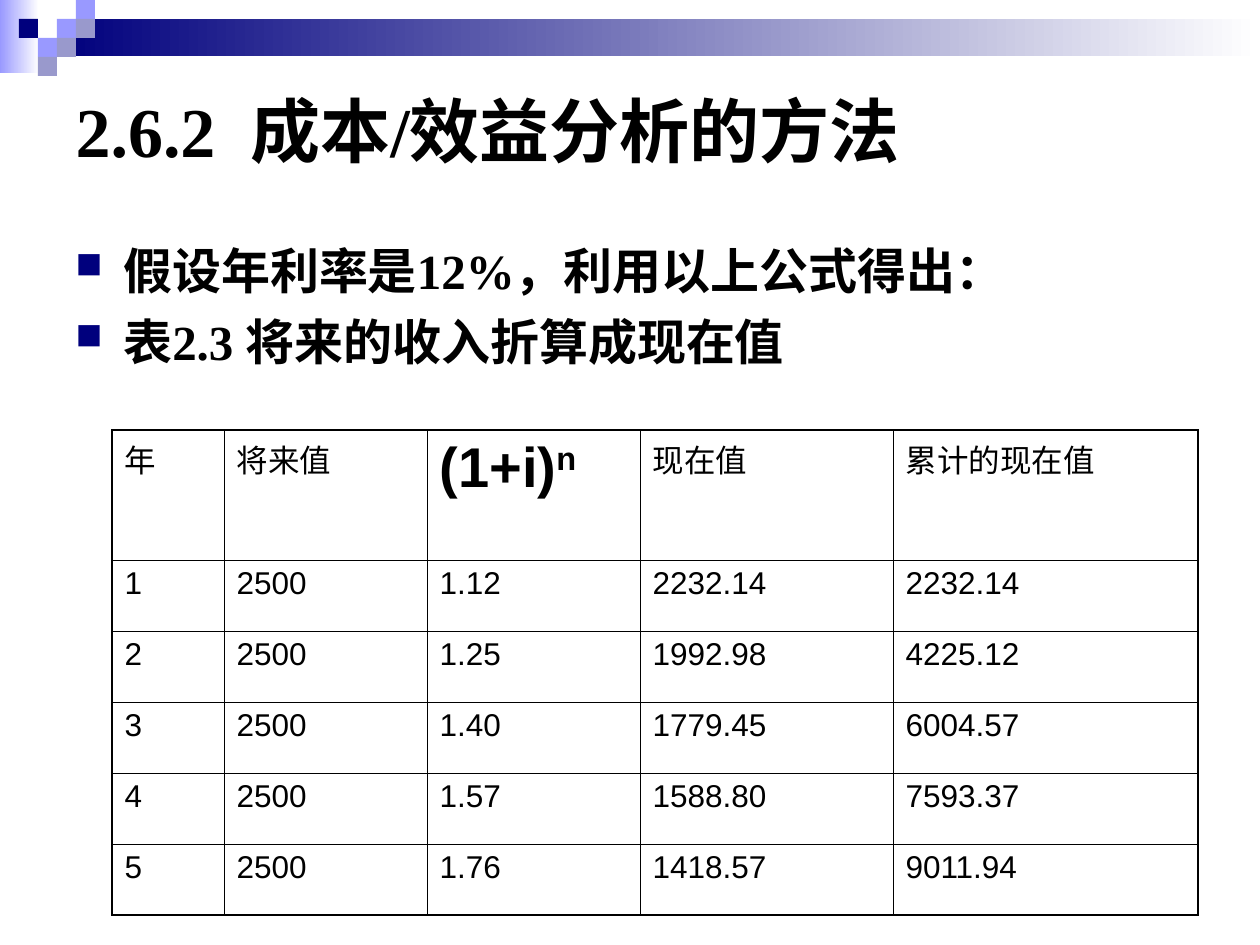
"""Build the slide on cost/benefit analysis with its present value table."""
import pptx
import pptx.dml.color
import pptx.enum.shapes
import pptx.enum.text
import pptx.oxml
import pptx.oxml.ns
import pptx.util

TITLE = "2.6.2  成本/效益分析的方法"
BULLETS = ["假设年利率是12%，利用以上公式得出：", "表2.3 将来的收入折算成现在值"]
ROWS = [
    ["年", "将来值", "(1+i)", "现在值", "累计的现在值"],
    ["1", "2500", "1.12", "2232.14", "2232.14"],
    ["2", "2500", "1.25", "1992.98", "4225.12"],
    ["3", "2500", "1.40", "1779.45", "6004.57"],
    ["4", "2500", "1.57", "1588.80", "7593.37"],
    ["5", "2500", "1.76", "1418.57", "9011.94"],
]
EXPONENT_CELL, EXPONENT = (0, 2), "n"

PX = 914400 // 126
BLACK = pptx.dml.color.RGBColor(0, 0, 0)
WHITE = pptx.dml.color.RGBColor(255, 255, 255)
NAVY = pptx.dml.color.RGBColor(0x00, 0x00, 0x7D)
LILAC = pptx.dml.color.RGBColor(0x99, 0x99, 0xFF)
GREY = pptx.dml.color.RGBColor(0x99, 0x99, 0xCC)

GRADIENT_BARS = [((0, 0, 39, 73), LILAC), ((57, 19, 1203, 37), NAVY)]
SQUARE = 19
SQUARES = [(3, 1, LILAC), (4, 0, LILAC), (4, 1, GREY), (2, 2, LILAC),
           (1, 1, NAVY), (3, 2, GREY), (2, 3, GREY)]
TITLE_BOX = (63, 63, 1134, 132)
BODY_BOX = (63, 234, 1113, 238)
TABLE_AT = (112, 430)
COLUMN_WIDTHS = [112, 203, 213, 253, 305]
ROW_HEIGHTS = [130] + [71] * 5
INNER_LINE, OUTER_LINE = 0.45, 1.08

TITLE_FONT = {"name": "Times New Roman", "size": pptx.util.Pt(40), "bold": True}
BODY_FONT = {"name": "Times New Roman", "size": pptx.util.Pt(28), "bold": True}
CELL_FONT = {"name": "Arial", "size": pptx.util.Pt(18), "bold": False}
FORMULA_FONT = {"name": "Arial", "size": pptx.util.Pt(32), "bold": True}


def scaled(lengths):
    return [length * PX for length in lengths]


def style(font, values):
    for name, value in values.items():
        setattr(font, name, value)
    font.color.rgb = BLACK


def add_block(page, box, colour, fades=False):
    block = page.shapes.add_shape(pptx.enum.shapes.MSO_SHAPE.RECTANGLE, *scaled(box))
    block.shadow.inherit = False
    block.line.fill.background()
    if fades:
        block.fill.gradient()
        block.fill.gradient_angle = 0
        for stop, shade in zip(block.fill.gradient_stops, (colour, WHITE)):
            stop.color.rgb = shade
    else:
        block.fill.solid()
        block.fill.fore_color.rgb = colour


def add_title(page):
    title = page.shapes.title
    title.left, title.top, title.width, title.height = scaled(TITLE_BOX)
    frame = title.text_frame
    frame.text = TITLE
    frame.vertical_anchor = pptx.enum.text.MSO_ANCHOR.MIDDLE
    frame.auto_size = pptx.enum.text.MSO_AUTO_SIZE.NONE
    para = frame.paragraphs[0]
    para.alignment = pptx.enum.text.PP_ALIGN.LEFT
    style(para.runs[0].font, TITLE_FONT)


def add_bullet(para):
    properties = para._p.get_or_add_pPr()
    indent = 48 * PX
    properties.set("marL", str(indent))
    properties.set("indent", str(-indent))
    namespace = pptx.oxml.ns.nsdecls("a")
    for xml in (f'<a:buClr {namespace}><a:srgbClr val="{NAVY}"/></a:buClr>',
                f'<a:buSzPct {namespace} val="75000"/>',
                f'<a:buChar {namespace} char="■"/>'):
        properties.append(pptx.oxml.parse_xml(xml))


def add_body(page):
    frame = page.shapes.add_textbox(*scaled(BODY_BOX)).text_frame
    frame.word_wrap = True
    for index, text in enumerate(BULLETS):
        para = frame.add_paragraph() if index else frame.paragraphs[0]
        if index:
            para.space_before = pptx.util.Pt(7)
        add_bullet(para)
        span = para.add_run()
        span.text = text
        style(span.font, BODY_FONT)


def add_borders(cell, row, column):
    outer = {"L": column == 0, "R": column == len(COLUMN_WIDTHS) - 1,
             "T": row == 0, "B": row == len(ROWS) - 1}
    properties = cell._tc.get_or_add_tcPr()
    for side, is_outer in outer.items():
        width = pptx.util.Pt(OUTER_LINE if is_outer else INNER_LINE)
        properties.append(pptx.oxml.parse_xml(
            f'<a:ln{side} {pptx.oxml.ns.nsdecls("a")} w="{width}"><a:solidFill>'
            f'<a:srgbClr val="{BLACK}"/></a:solidFill></a:ln{side}>'))


def fill_cell(cell, row, column, text):
    is_formula = (row, column) == EXPONENT_CELL
    para = cell.text_frame.paragraphs[0]
    for part in [text, EXPONENT] if is_formula else [text]:
        span = para.add_run()
        span.text = part
        style(span.font, FORMULA_FONT if is_formula else CELL_FONT)
    if is_formula:
        span._r.get_or_add_rPr().set("baseline", "30000")
    add_borders(cell, row, column)
    cell.fill.background()


def add_value_table(page):
    size = (sum(COLUMN_WIDTHS), sum(ROW_HEIGHTS))
    table = page.shapes.add_table(
        len(ROWS), len(COLUMN_WIDTHS), *scaled(TABLE_AT + size)).table
    table.first_row = table.horz_banding = False
    for column, width in zip(table.columns, scaled(COLUMN_WIDTHS)):
        column.width = width
    for row, height in zip(table.rows, scaled(ROW_HEIGHTS)):
        row.height = height
    for row, texts in enumerate(ROWS):
        for column, text in enumerate(texts):
            fill_cell(table.cell(row, column), row, column, text)


def main():
    deck = pptx.Presentation()
    deck.slide_width, deck.slide_height = scaled((1260, 945))
    page = deck.slides.add_slide(deck.slide_layouts.get_by_name("Title Only"))
    for box, colour in GRADIENT_BARS:
        add_block(page, box, colour, fades=True)
    for column, row, colour in SQUARES:
        add_block(page, (column * SQUARE, row * SQUARE, SQUARE, SQUARE), colour)
    add_title(page)
    add_body(page)
    add_value_table(page)
    deck.save("out.pptx")


if __name__ == "__main__":
    main()
